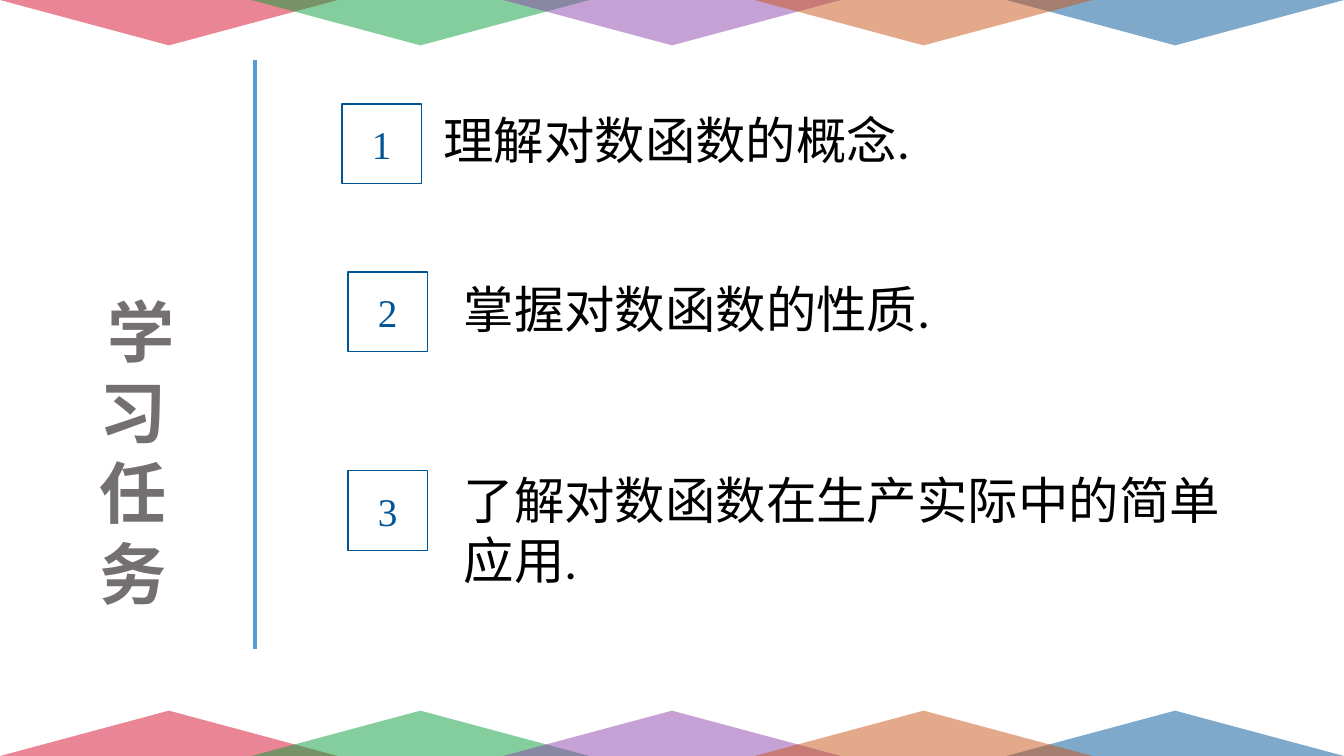
from dataclasses import dataclass

from lxml import etree
from pptx import Presentation
from pptx.dml.color import RGBColor
from pptx.enum.lang import MSO_LANGUAGE_ID
from pptx.enum.shapes import MSO_CONNECTOR, MSO_SHAPE
from pptx.enum.text import MSO_ANCHOR, MSO_AUTO_SIZE, PP_ALIGN
from pptx.oxml.ns import qn
from pptx.util import Inches, Pt


@dataclass(frozen=True)
class Theme:
    # Column and colour of each pennant, from back to front
    pennants: tuple = ((0, "D50D2A"), (4, "005596"), (1, "099F3B"),
                       (2, "8D44AD"), (3, "CB5518"))
    pennant_opacity: int = 50
    title_color: str = "757070"
    rule_color: str = "5B9BD5"
    number_color: str = "005596"
    task_color: str = "000000"
    title_font: str = "Roboto"
    number_font: str = "Times New Roman"
    task_font: str = "Calibri"
    title_size: int = 48
    number_size: int = 28
    task_size: int = 36


THEME = Theme()
WIDTH, HEIGHT = 13.33, 7.5
PENNANT_WIDTH, PENNANT_HEIGHT = 3.35, 0.45
PENNANT_STEP = (WIDTH - PENNANT_WIDTH) / (len(THEME.pennants) - 1)
BADGE_SIDE = 0.79

# Badge left and top, then text left, top, width and height
TASKS = (
    ("理解对数函数的概念.", (3.39, 1.03), (4.3, 1.03, 6.67, 0.71)),
    ("掌握对数函数的性质.", (3.45, 2.7), (4.5, 2.71, 6.67, 0.71)),
    ("了解对数函数在生产实际中的简单应用.", (3.45, 4.67), (4.5, 4.6, 7.79, 1.31)),
)


def inches(*lengths):
    return [Inches(length) for length in lengths]


def write(frame, text, font, size, color, align=PP_ALIGN.LEFT, bold=False):
    frame.word_wrap = True
    para = frame.paragraphs[0]
    para.alignment = align
    span = para.add_run()
    span.text = text
    span.font.name = font
    span.font.size = Pt(size)
    span.font.bold = bold
    span.font.color.rgb = RGBColor.from_string(color)
    span.font.language_id = MSO_LANGUAGE_ID.SIMPLIFIED_CHINESE


def add_pennant(page, column, color, top, rotation):
    pennant = page.shapes.add_shape(
        MSO_SHAPE.ISOSCELES_TRIANGLE,
        *inches(column * PENNANT_STEP, top, PENNANT_WIDTH, PENNANT_HEIGHT))
    pennant.rotation = rotation
    pennant.shadow.inherit = False
    pennant.line.fill.background()
    pennant.fill.solid()
    pennant.fill.fore_color.rgb = RGBColor.from_string(color)
    tint = pennant.fill._xPr.find(qn("a:solidFill"))[0]
    etree.SubElement(tint, qn("a:alpha"), val=str(THEME.pennant_opacity * 1000))


def add_border(page, top, rotation):
    for column, color in THEME.pennants:
        add_pennant(page, column, color, top, rotation)


def place_title(page, text):
    title = page.shapes.title
    title.left, title.top, title.width, title.height = inches(0.63, 2.83, 1.38, 3.33)
    title.text_frame.auto_size = MSO_AUTO_SIZE.NONE
    title.text_frame.vertical_anchor = MSO_ANCHOR.TOP
    write(title.text_frame, text, THEME.title_font, THEME.title_size,
          THEME.title_color, PP_ALIGN.CENTER, bold=True)


def add_rule(page, left, top, bottom):
    rule = page.shapes.add_connector(
        MSO_CONNECTOR.STRAIGHT, *inches(left, top, left, bottom))
    rule.line.color.rgb = RGBColor.from_string(THEME.rule_color)
    rule.line.width = Pt(3)
    etree.SubElement(rule._element.spPr, qn("a:effectLst"))


def add_badge(page, number, left, top):
    badge = page.shapes.add_shape(
        MSO_SHAPE.RECTANGLE, *inches(left, top, BADGE_SIDE, BADGE_SIDE))
    badge.shadow.inherit = False
    badge.fill.background()
    badge.line.color.rgb = RGBColor.from_string(THEME.number_color)
    badge.line.width = Pt(1)
    badge.text_frame.vertical_anchor = MSO_ANCHOR.MIDDLE
    write(badge.text_frame, str(number), THEME.number_font, THEME.number_size,
          THEME.number_color, PP_ALIGN.CENTER)


def add_task(page, text, area):
    box = page.shapes.add_textbox(*inches(*area))
    box.text_frame.auto_size = MSO_AUTO_SIZE.SHAPE_TO_FIT_TEXT
    write(box.text_frame, text, THEME.task_font, THEME.task_size, THEME.task_color)


def main():
    deck = Presentation()
    deck.slide_width, deck.slide_height = inches(WIDTH, HEIGHT)
    page = deck.slides.add_slide(deck.slide_layouts.get_by_name("Title Only"))
    add_border(page, HEIGHT - PENNANT_HEIGHT, 0)
    add_border(page, 0, 180)
    place_title(page, " 学习任务")
    add_rule(page, 2.53, 0.6, 6.44)
    for number, (text, corner, area) in enumerate(TASKS, start=1):
        add_badge(page, number, *corner)
        add_task(page, text, area)
    deck.save("out.pptx")


if __name__ == "__main__":
    main()
